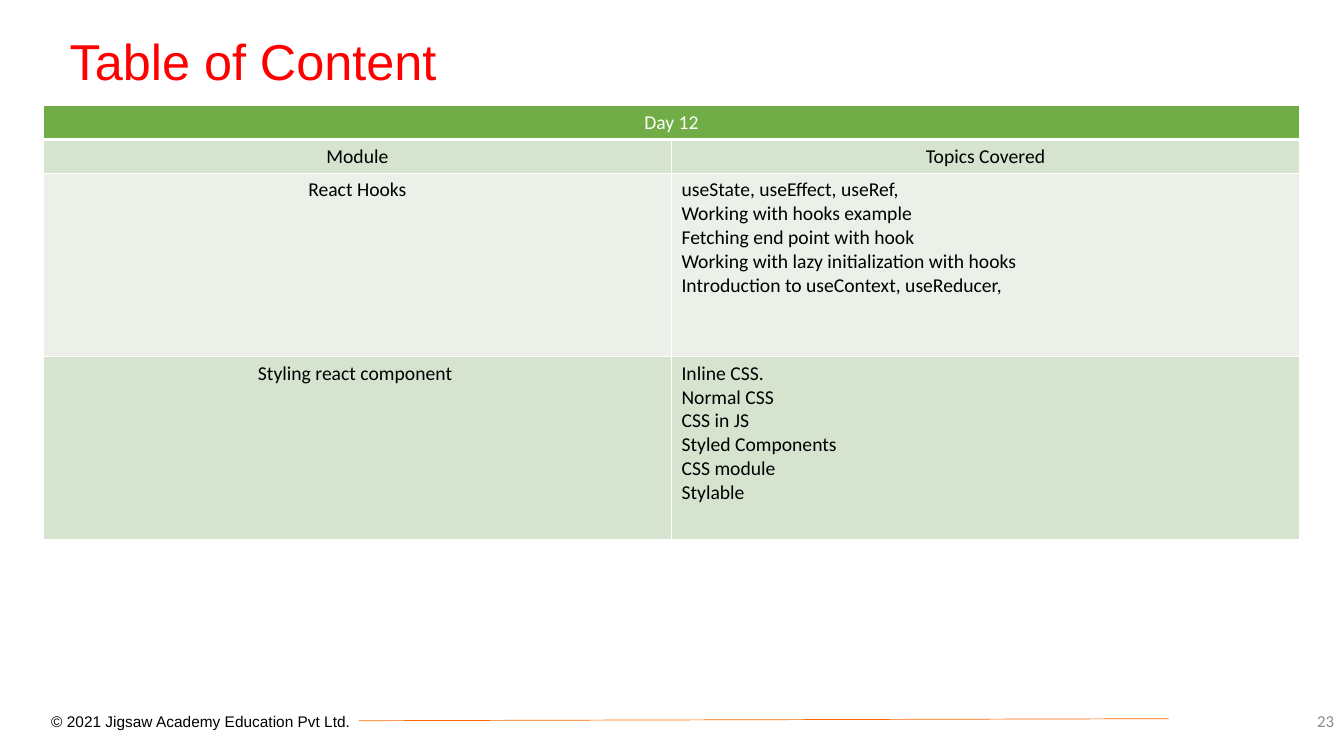
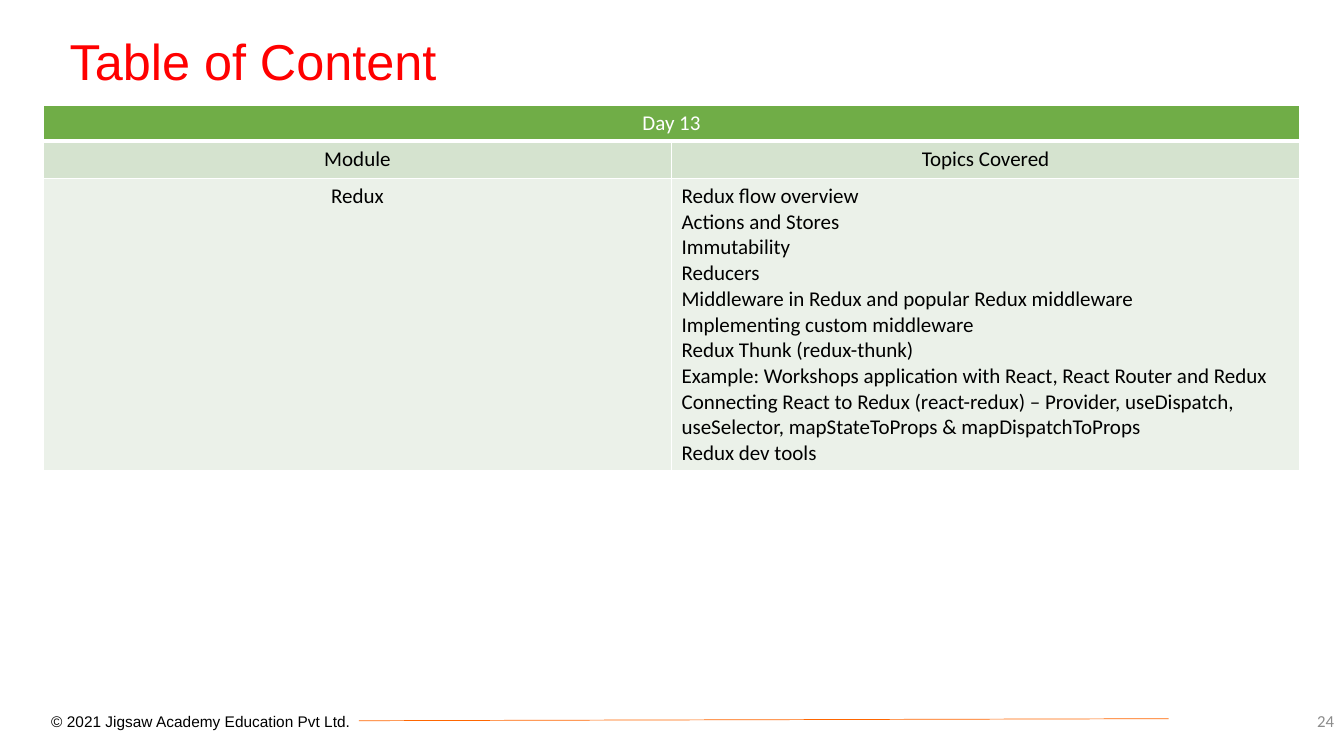
import pptx
import pptx.dml.color
import pptx.enum.shapes
import pptx.enum.text
import pptx.oxml.ns
import pptx.util
from lxml import etree

Inches = pptx.util.Inches
Pt = pptx.util.Pt
Align = pptx.enum.text.PP_ALIGN
Anchor = pptx.enum.text.MSO_ANCHOR

COLORS = {
    "title": "FF0000",
    "rule": "FF6600",
    "text": "000000",
    "page": "8C8C8C",
    "white": "FFFFFF",
    "header": "70AD47",
    "band_dark": "D5E3CF",
    "band_light": "EBF1E9",
}
TITLE_FONT, BODY_FONT = "Arial", "Calibri"


def rgb(name):
    return pptx.dml.color.RGBColor.from_string(COLORS[name])


class CourseDeck:
    """Holds the shared style and the slide being built."""

    def __init__(self):
        self.prs = pptx.Presentation()
        self.prs.slide_width = Inches(13.33)
        self.prs.slide_height = Inches(7.5)
        self.slide = None

    def add_slide(self, title, page):
        self.slide = self.prs.slides.add_slide(self.prs.slide_layouts[5])
        self.title(title)
        self.footer(page)

    def styled_run(self, paragraph, text, size, color, font=BODY_FONT, align=Align.LEFT):
        paragraph.alignment = align
        run = paragraph.add_run()
        run.text = text
        run.font.name = font
        run.font.size = Pt(size)
        run.font.bold = False
        run.font.color.rgb = rgb(color)

    def title(self, text):
        heading = self.slide.shapes.title
        heading.left, heading.top = Inches(0.59), Inches(0.32)
        heading.width, heading.height = Inches(11.5), Inches(1.45)
        frame = heading.text_frame
        frame.auto_size = pptx.enum.text.MSO_AUTO_SIZE.NONE
        frame.vertical_anchor = Anchor.TOP
        frame.paragraphs[0].line_spacing = 0.9
        self.styled_run(frame.paragraphs[0], text, 36, "title", TITLE_FONT)

    def label(self, box, text, size, color, font, align=Align.LEFT, wrap=True):
        frame = self.slide.shapes.add_textbox(*map(Inches, box)).text_frame
        frame.word_wrap = wrap
        frame.vertical_anchor = Anchor.MIDDLE
        self.styled_run(frame.paragraphs[0], text, size, color, font, align)

    def footer(self, page):
        rule = self.slide.shapes.add_connector(
            pptx.enum.shapes.MSO_CONNECTOR.STRAIGHT,
            Inches(3.56), Inches(7.15), Inches(11.59), Inches(7.13))
        rule.line.color.rgb = rgb("rule")
        rule.line.width = Pt(0.5)
        properties = rule._element.spPr
        etree.SubElement(properties, pptx.oxml.ns.qn("a:effectLst"))
        self.label((0.41, 7.01, 3.19, 0.29), "© 2021 Jigsaw Academy Education Pvt Ltd.",
                   11, "text", TITLE_FONT, wrap=False)
        self.label((10.33, 6.95, 3, 0.4), str(page), 12, "page", BODY_FONT, Align.RIGHT)

    def borders(self, cell, top, bottom):
        properties = cell._tc.get_or_add_tcPr()
        for side, width in (("L", 1), ("R", 1), ("T", top), ("B", bottom)):
            line = etree.SubElement(properties, pptx.oxml.ns.qn(f"a:ln{side}"), w=str(Pt(width)))
            fill = etree.SubElement(line, pptx.oxml.ns.qn("a:solidFill"))
            etree.SubElement(fill, pptx.oxml.ns.qn("a:srgbClr"), val=COLORS["white"])

    def cell(self, cell, row, lines, size, align):
        # The line under the header is thicker; body rows alternate in shade
        self.borders(cell, 3 if row == 1 else 1, 3 if row == 0 else 1)
        cell.fill.solid()
        shade = "header" if row == 0 else ("band_light", "band_dark")[row % 2]
        cell.fill.fore_color.rgb = rgb(shade)
        frame = cell.text_frame
        for index, line in enumerate(lines):
            paragraph = frame.add_paragraph() if index else frame.paragraphs[0]
            self.styled_run(paragraph, line, size, "white" if row == 0 else "text", align=align)

    def schedule(self, day, modules, heights, size):
        rows = [([day], []), (["Module"], ["Topics Covered"])]
        rows += [([module], topics) for module, topics in modules]
        table = self.slide.shapes.add_table(
            len(rows), 2, Inches(0.43), Inches(1.05),
            Inches(12.46), Inches(sum(heights))).table
        for column in table.columns:
            column.width = Inches(6.23)
        for r, (row, height) in enumerate(zip(rows, heights)):
            table.rows[r].height = Inches(height)
            for c, lines in enumerate(row):
                align = Align.LEFT if r > 1 and c == 1 else Align.CENTER
                self.cell(table.cell(r, c), r, lines, size, align)
        table.cell(0, 0).merge(table.cell(0, 1))


def main():
    deck = CourseDeck()

    # Day 12: hooks and styling
    deck.add_slide("Table of Content", 23)
    deck.schedule("Day 12", [
        ("React Hooks", [
            "useState, useEffect, useRef,",
            "Working with hooks example",
            "Fetching end point with hook",
            "Working with lazy initialization with hooks",
            "Introduction to useContext, useReducer,",
        ]),
        ("Styling react component ", [
            "Inline CSS.",
            "Normal CSS",
            "CSS in JS",
            "Styled Components",
            "CSS module",
            "Stylable",
        ]),
    ], heights=(0.3, 0.3, 1.82, 1.82), size=14)

    # Day 13: Redux
    deck.add_slide("Table of Content", 24)
    deck.schedule("Day 13", [
        ("Redux", [
            "Redux flow overview",
            "Actions and Stores",
            "Immutability",
            "Reducers",
            "Middleware in Redux and popular Redux middleware",
            "Implementing custom middleware",
            "Redux Thunk (redux-thunk)",
            "Example: Workshops application with React, React Router and Redux",
            "Connecting React to Redux (react-redux) – Provider, useDispatch, "
            "useSelector, mapStateToProps & mapDispatchToProps",
            "Redux dev tools",
        ]),
    ], heights=(0.3, 0.37, 2.9), size=15)

    deck.prs.save("out.pptx")


if __name__ == "__main__":
    main()
